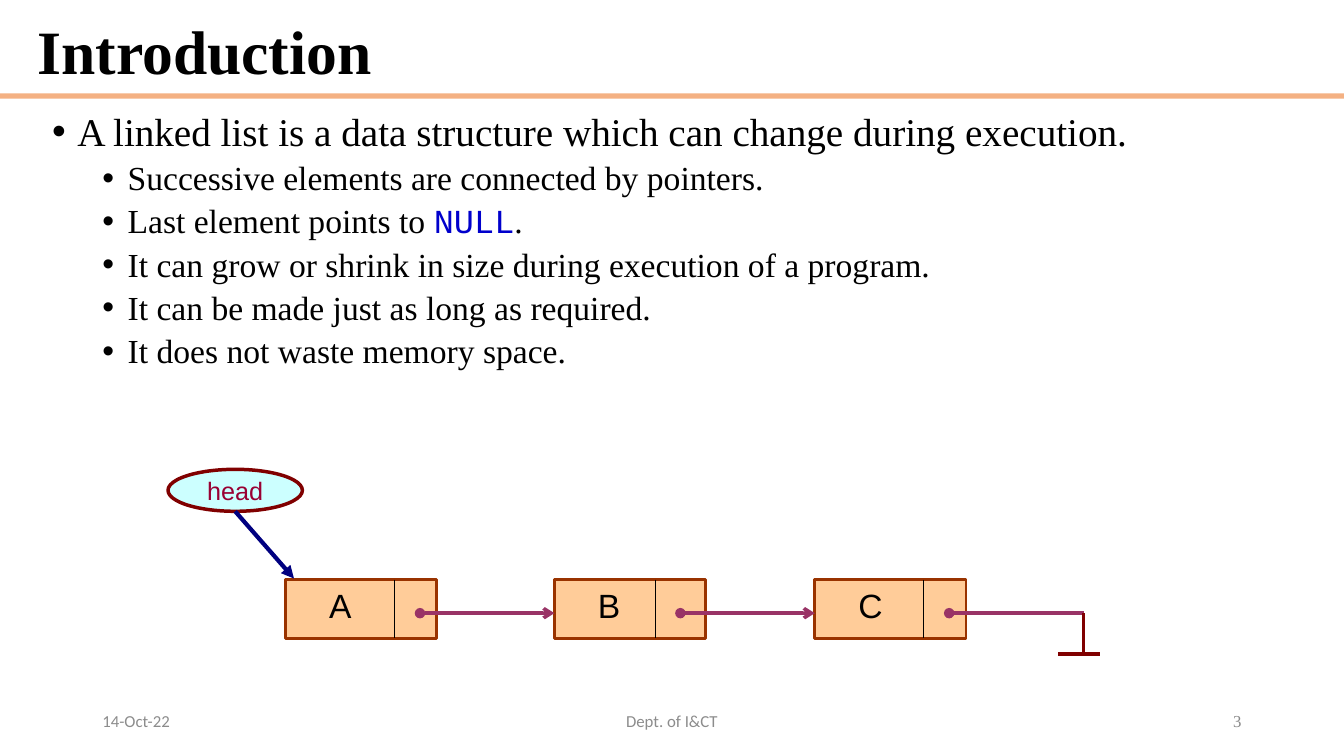
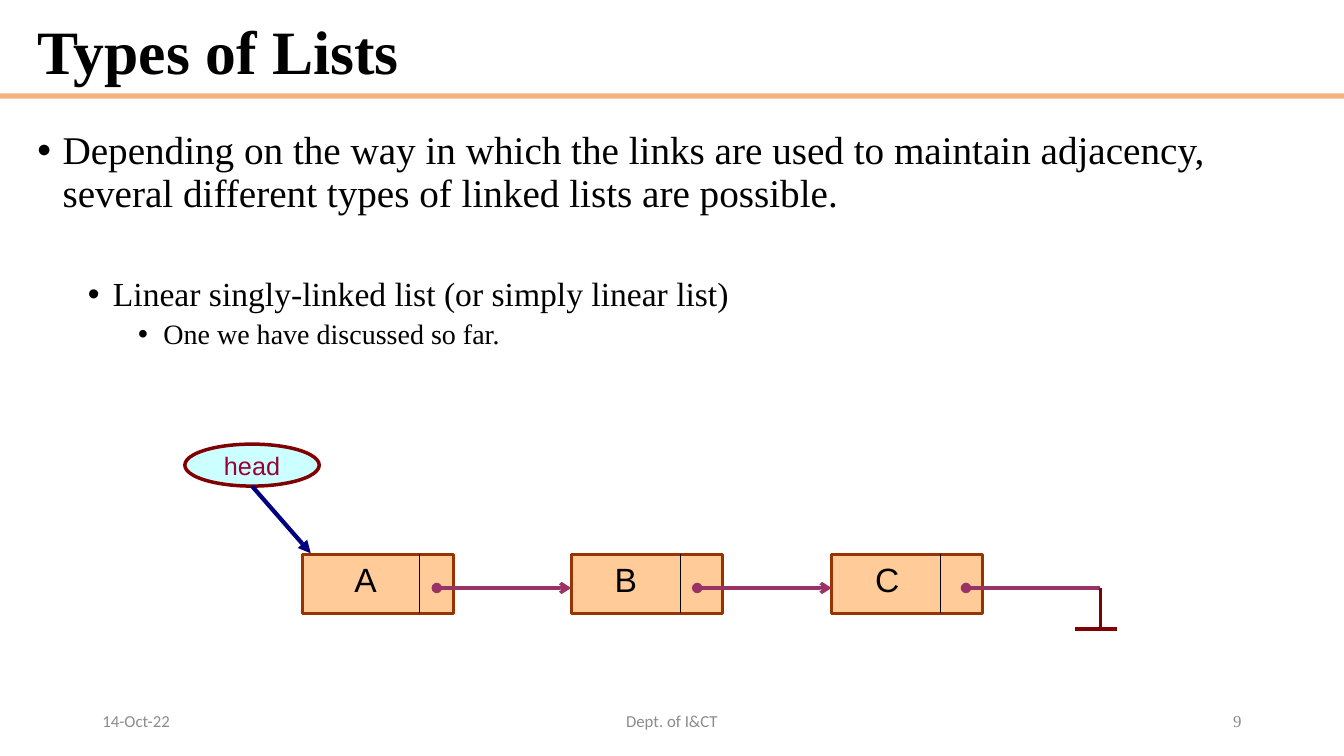
from dataclasses import dataclass

from lxml import etree
from pptx import Presentation
from pptx import util as u
from pptx.dml.color import RGBColor
from pptx.enum import shapes, text
from pptx.oxml.ns import qn

PX = 9525


@dataclass(frozen=True)
class Theme:
    serif: str = "Times New Roman"
    sans: str = "Arial"
    code: str = "Courier New"
    footer: str = "Calibri"
    ink: str = "000000"
    band: str = "F4B183"
    keyword: str = "0000CC"
    muted: str = "8C8C8C"
    number: str = "898989"
    node: str = "FFCC99"
    node_edge: str = "993300"
    link: str = "993366"
    ground: str = "800000"
    head: str = "CCFFFF"
    head_text: str = "990033"
    pointer: str = "000080"
    title_pt: int = 44
    level_pts: tuple = (28, 24, 20)
    node_pt: int = 24
    head_pt: int = 18
    footer_pt: int = 12


T = Theme()


def px(*values):
    return [u.Emu(v * PX) for v in values]


def write(p, words, size, font=T.serif, color=T.ink, bold=False, align=None):
    r = p.add_run()
    r.text = words
    r.font.name = font
    r.font.size = u.Pt(size)
    r.font.bold = bold
    r.font.color.rgb = RGBColor.from_string(color)
    if align is not None:
        p.alignment = align


class Deck:
    def __init__(self):
        self.prs = Presentation()
        self.prs.slide_width, self.prs.slide_height = px(1280, 720)

    def slide(self, title, number):
        self.s = self.prs.slides.add_slide(self.prs.slide_layouts[1])
        self.canvas = self.s.shapes
        self.shape("RECTANGLE", (0, 89, 1280, 5), T.band)
        tf = self.placeholder(0, (26, 14, 1166, 76), text.MSO_ANCHOR.MIDDLE)
        tf.paragraphs[0].line_spacing = 0.9
        write(tf.paragraphs[0], title, T.title_pt, bold=True, align=text.PP_ALIGN.LEFT)
        for x, w, words, font, color, align in (
            (88, 288, "14-Oct-22", T.footer, T.muted, text.PP_ALIGN.LEFT),
            (424, 432, "Dept. of I&CT", T.footer, T.muted, text.PP_ALIGN.CENTER),
            (904, 288, str(number), T.serif, T.number, text.PP_ALIGN.RIGHT),
        ):
            self.label((x, 667, w, 38), words, text.MSO_ANCHOR.MIDDLE,
                       size=T.footer_pt, font=font, color=color, align=align)

    def placeholder(self, idx, box, anchor):
        sp = self.s.placeholders[idx]
        sp.left, sp.top, sp.width, sp.height = px(*box)
        tf = sp.text_frame
        tf.auto_size = text.MSO_AUTO_SIZE.NONE
        tf.vertical_anchor = anchor
        return tf

    def bullets(self, box, items):
        tf = self.placeholder(1, box, text.MSO_ANCHOR.TOP)
        for i, (level, before, runs) in enumerate(items):
            p = tf.add_paragraph() if i else tf.paragraphs[0]
            p.level = level
            p.line_spacing = 0.9
            p.space_before = u.Pt(before)
            pPr = p._p.get_or_add_pPr()
            pPr.set("marL", str((24 + 48 * level) * PX))
            pPr.set("indent", str(-24 * PX))
            etree.SubElement(pPr, qn("a:buFont")).set("typeface", T.sans)
            etree.SubElement(pPr, qn("a:buChar")).set("char", "•")
            for words, fmt in runs:
                write(p, words, T.level_pts[level], **fmt)

    def label(self, box, words, anchor=text.MSO_ANCHOR.TOP, **fmt):
        tf = self.canvas.add_textbox(*px(*box)).text_frame
        tf.word_wrap = True
        tf.vertical_anchor = anchor
        write(tf.paragraphs[0], words, **fmt)

    def shape(self, kind, box, fill, edge=None, width=0):
        sp = self.canvas.add_shape(shapes.MSO_SHAPE[kind], *px(*box))
        sp.shadow.inherit = False
        sp.fill.solid()
        sp.fill.fore_color.rgb = RGBColor.from_string(fill)
        if edge:
            sp.line.color.rgb = RGBColor.from_string(edge)
            sp.line.width = u.Pt(width)
        else:
            sp.line.fill.background()
        return sp

    def line(self, ends, color, width, head=None, tail=None):
        c = self.canvas.add_connector(shapes.MSO_CONNECTOR.STRAIGHT, *px(*ends))
        c.line.color.rgb = RGBColor.from_string(color)
        c.line.width = u.Pt(width)
        spPr = c.element.spPr
        ln = spPr.find(qn("a:ln"))
        for tag, kind in (("a:headEnd", head), ("a:tailEnd", tail)):
            if kind:
                etree.SubElement(ln, qn(tag)).set("type", kind)
        etree.SubElement(spPr, qn("a:effectLst"))

    def linked_list(self, x, y, dividers, letter_insets):
        self.canvas = self.s.shapes.add_group_shape().shapes
        lefts = [x, x + 256, x + 504]
        dots = [x + 128, x + 376, x + 632]
        end, mid = x + 760, y + 32
        for left in lefts:
            self.shape("RECTANGLE", (left, y, 144, 56), T.node, T.node_edge, 2)
        for dot, target in zip(dots, lefts[1:] + [end]):
            self.line((dot, mid, target, mid), T.link, 2.5, "oval",
                      None if target == end else "arrow")
        for letter, left, divider, inset in zip("ABC", lefts, dividers, letter_insets):
            self.line((left + divider, y, left + divider, y + 56), T.ink, 0.75)
            self.label((left + inset, y, 64, 48), letter, size=T.node_pt, font=T.sans)
        self.line((end, mid, end, mid + 40), T.ground, 2.5)
        self.line((end - 24, mid + 39, end + 16, mid + 39), T.ground, 2.5)

        sp = self.shape("OVAL", (x - 112, y - 105, 128, 40), T.head, T.ground, 2.5)
        tf = sp.text_frame
        tf.word_wrap = False
        tf.vertical_anchor = text.MSO_ANCHOR.MIDDLE
        write(tf.paragraphs[0], "head", T.head_pt, T.sans, T.head_text,
              align=text.PP_ALIGN.CENTER)
        self.line((x - 48, y - 65, x + 8, y - 1), T.pointer, 3, tail="triangle")


def main():
    deck = Deck()

    deck.slide("Introduction", 3)
    deck.bullets((40, 102, 1221, 496), [
        (0, 0, [("A linked list is a data structure which can change during execution.", {})]),
        (1, 5, [("Successive elements are connected by pointers.", {})]),
        (1, 5, [("Last element points to ", {}),
                ("NULL", {"font": T.code, "color": T.keyword}),
                (".", {})]),
        (1, 5, [("It can grow or shrink in size during execution of a program.", {})]),
        (1, 5, [("It can be made just as long as required.", {})]),
        (1, 5, [("It does not waste memory space.", {})]),
    ])
    deck.linked_list(272, 552, (104, 96, 104), (32, 32, 32))

    deck.slide("Types of Lists", 9)
    deck.bullets((26, 120, 1232, 538), [
        (0, 0, [("Depending on the way in which the links are used to maintain adjacency, "
                 "several different types of linked lists are possible.", {})]),
        (1, 44, [("Linear singly-linked list (or simply linear list)", {})]),
        (2, 5, [("One we have discussed so far.", {})]),
    ])
    deck.linked_list(288, 528, (112, 104, 104), (40, 32, 32))

    deck.prs.save("out.pptx")


if __name__ == "__main__":
    main()
